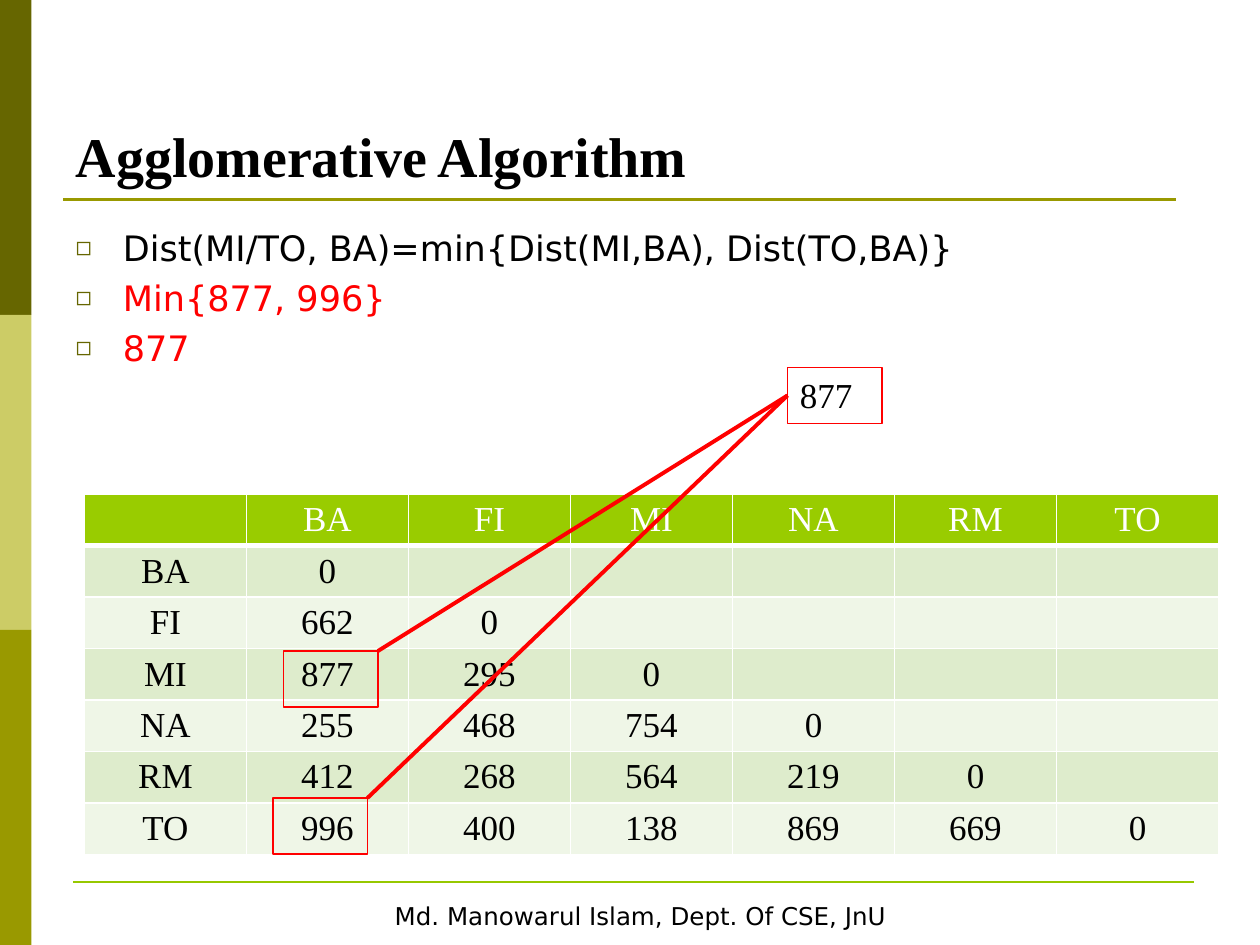
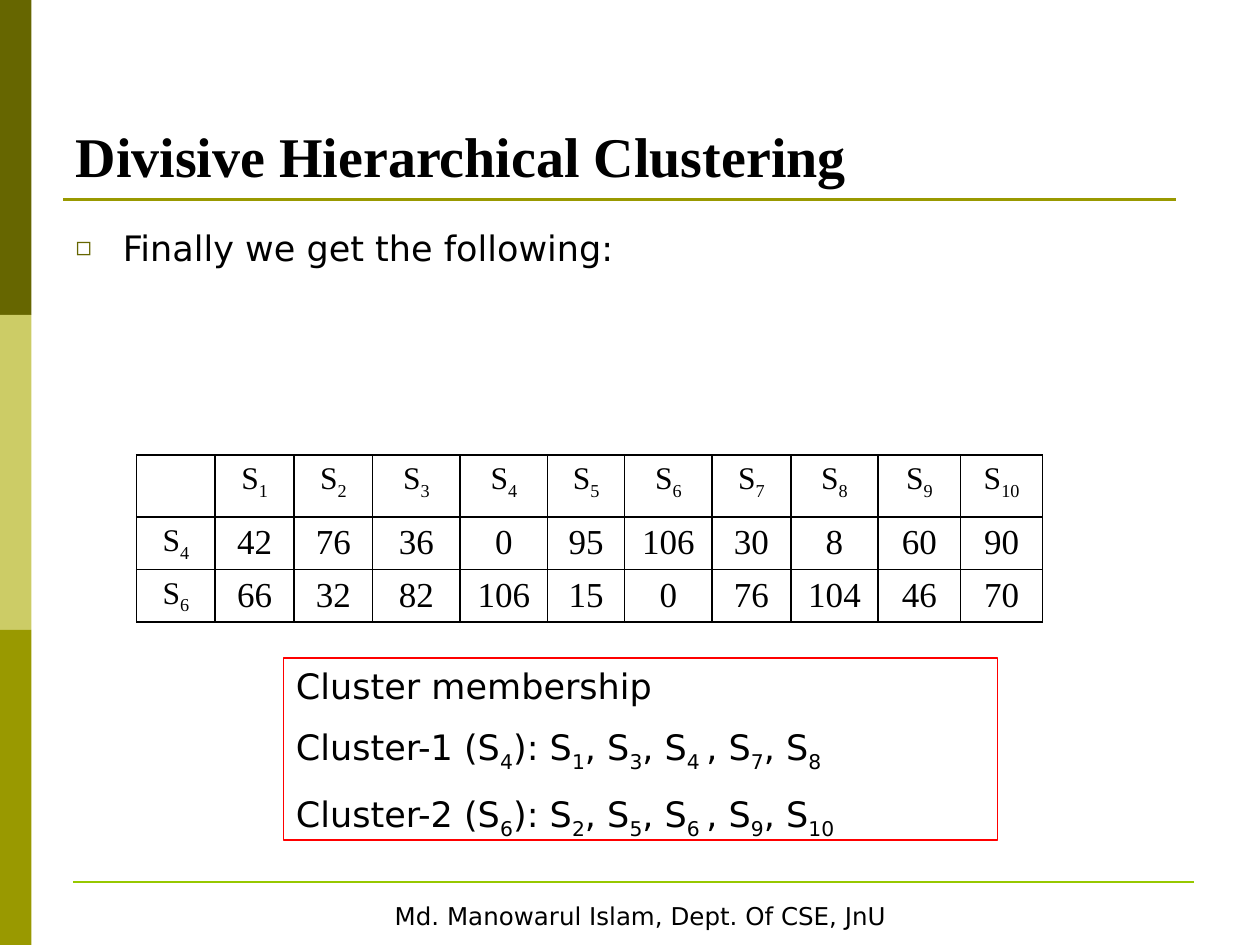
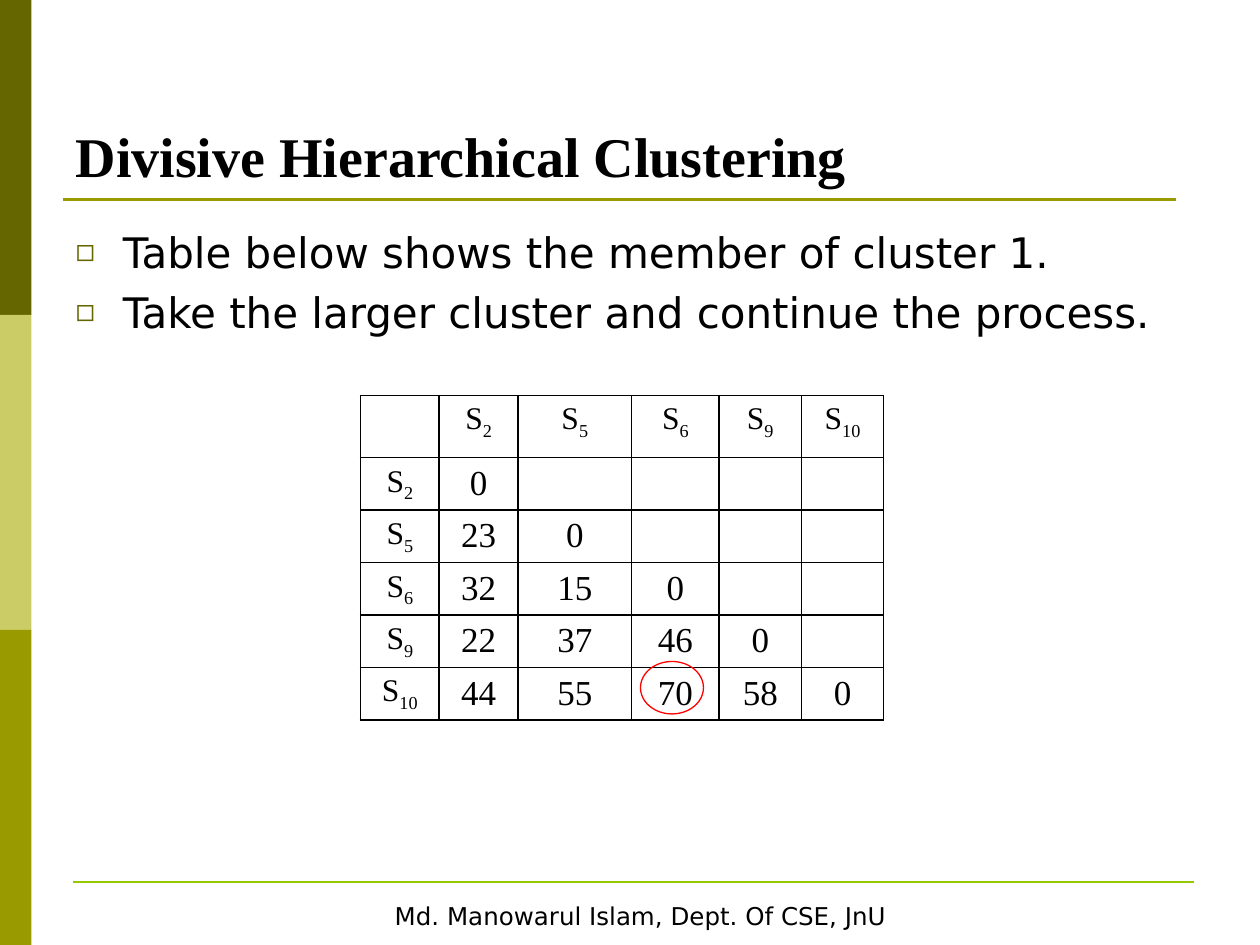
from dataclasses import dataclass
from itertools import product

from lxml.etree import SubElement
from pptx import Presentation
from pptx.dml.color import RGBColor
from pptx.enum.shapes import MSO_CONNECTOR as Connector, MSO_SHAPE as Preset
from pptx.enum.text import MSO_ANCHOR as Anchor, MSO_AUTO_SIZE as AutoSize, PP_ALIGN as Align
from pptx.oxml.ns import qn
from pptx.util import Pt


@dataclass(frozen=True)
class Theme:
    serif: str = "Times New Roman"
    sans: str = "DejaVu Sans"
    black: str = "000000"
    white: str = "FFFFFF"
    red: str = "FF0000"
    dark_olive: str = "666600"
    pale_olive: str = "CCCC66"
    olive: str = "999900"
    footer_rule: str = "96C800"
    header: str = "99CC00"
    bands: tuple = ("DEECCC", "EFF6E7")
    title_size: int = 32
    large_size: int = 24
    text_size: int = 20
    label_size: int = 18
    footer_size: int = 14


T = Theme()
WIDTH, HEIGHT = 720, 540
FOOTER = "Md. Manowarul Islam, Dept. Of CSE, JnU"
TITLE_AREA = (36, 21.6, 648, 90)
BODY_LEFT, BODY_TOP, BODY_WIDTH = 36, 126, 648

CITIES = ["BA", "FI", "MI", "NA", "RM", "TO"]
CITY_DISTANCES = [
    [0],
    [662, 0],
    [877, 295, 0],
    [255, 468, 754, 0],
    [412, 268, 564, 219, 0],
    [996, 400, 138, 869, 669, 0],
]
SAMPLES = [f"S_{n}" for n in range(1, 11)]
SEED_DISTANCES = {
    "S_4": [42, 76, 36, 0, 95, 106, 30, 8, 60, 90],
    "S_6": [66, 32, 82, 106, 15, 0, 76, 104, 46, 70],
}
MEMBERS = ["S_2", "S_5", "S_6", "S_9", "S_10"]
MEMBER_DISTANCES = [
    [0],
    [23, 0],
    [32, 15, 0],
    [22, 37, 46, 0],
    [44, 55, 70, 58, 0],
]
MEMBERSHIP = [
    "Cluster membership",
    "Cluster-1 (S_4_): S_1_, S_3_, S_4 _, S_7_, S_8",
    "Cluster-2 (S_6_): S_2_, S_5_, S_6 _, S_9_, S_10",
]
SLIDES = [
    {
        "title": "Agglomerative Algorithm",
        "bullets": [
            ("Dist(MI/TO, BA)=min{Dist(MI,BA), Dist(TO,BA)}", T.black),
            ("Min{877, 996}", T.red),
            ("877", T.red),
        ],
        "size": T.text_size,
        "body_height": 356.4,
        "columns": CITIES,
        "rows": zip(CITIES, CITY_DISTANCES),
        "at": (48.24, 282.24),
        "widths": [92.6] * 7,
        "heights": [29.2] * 7,
        "banded": True,
    },
    {
        "title": "Divisive Hierarchical Clustering",
        "bullets": [("Finally we get the following:", T.black)],
        "size": T.text_size,
        "body_height": 48,
        "columns": SAMPLES,
        "rows": SEED_DISTANCES.items(),
        "at": (78, 260),
        "widths": [45, 45, 45, 50, 50, 44, 50, 45, 50, 47, 47],
        "heights": [35.5] + [29.5] * 2,
        "banded": False,
    },
    {
        "title": "Divisive Hierarchical Clustering",
        "bullets": [
            ("Table below shows the member of cluster 1.", T.black),
            ("Take the larger cluster and continue the process.", T.black),
        ],
        "size": T.large_size,
        "body_height": 108,
        "columns": MEMBERS,
        "rows": zip(MEMBERS, MEMBER_DISTANCES),
        "at": (206, 226),
        "widths": [45, 45, 65, 50, 47, 47],
        "heights": [35.5] + [29.5] * 5,
        "banded": False,
    },
]
RESULT_BOX = (450, 210, 54, 32)
SOURCE_BOXES = [(162, 372, 54, 32), (156, 456, 54, 32)]
MEMBERSHIP_BOX = (162, 376, 408, 104)
FARTHEST_PAIR = (366, 378, 36, 30)


def rgb(colour):
    return RGBColor.from_string(colour)


def write(paragraph, text, size, font, colour, bold=False):
    for index, piece in enumerate(text.split("_")):
        run = paragraph.add_run()
        run.text = piece
        run.font.size, run.font.name, run.font.bold = Pt(size), font, bold
        run.font.color.rgb = rgb(colour)
        if index % 2:
            run._r.get_or_add_rPr().set("baseline", "-25000")


def paragraphs(frame, count):
    return [frame.paragraphs[0]] + [frame.add_paragraph() for _ in range(count - 1)]


def place(shape, left, top, width, height):
    shape.left, shape.top, shape.width, shape.height = map(Pt, (left, top, width, height))


def preset(slide, kind, area, fill=None, line=None, weight=0.75):
    shape = slide.shapes.add_shape(kind, *map(Pt, area))
    shape.shadow.inherit = False
    if fill:
        shape.fill.solid()
        shape.fill.fore_color.rgb = rgb(fill)
    else:
        shape.fill.background()
    if line:
        shape.line.color.rgb = rgb(line)
        shape.line.width = Pt(weight)
    else:
        shape.line.fill.background()
    return shape


def straight(slide, start, end, colour, weight):
    line = slide.shapes.add_connector(Connector.STRAIGHT, *map(Pt, (*start, *end)))
    line.line.color.rgb = rgb(colour)
    line.line.width = Pt(weight)
    SubElement(line._element.spPr, qn("a:effectLst"))
    return line


def boxed_text(slide, area, lines, font):
    box = preset(slide, Preset.RECTANGLE, area, line=T.red)
    frame = box.text_frame
    frame.word_wrap, frame.vertical_anchor = True, Anchor.TOP
    for paragraph, text in zip(paragraphs(frame, len(lines)), lines):
        paragraph.alignment = Align.LEFT
        paragraph.space_before = Pt(T.text_size * 0.55)
        write(paragraph, text, T.text_size, font, T.black)
    frame.paragraphs[0].space_before = Pt(0)
    return box


def decorate(layout, slide):
    third = HEIGHT / 3
    parts = [
        preset(slide, Preset.RECTANGLE, (0, i * third, 18, third), colour)
        for i, colour in enumerate((T.dark_olive, T.pale_olive, T.olive))
    ]
    parts.append(straight(slide, (36, 114), (672, 114), T.olive, 1.5))
    parts.append(straight(slide, (42, 504), (682.5, 504), T.footer_rule, 1.5))
    footer = preset(slide, Preset.RECTANGLE, (36, 511, 660, 25), T.white, T.white, 2)
    footer.text_frame.word_wrap = False
    credit = footer.text_frame.paragraphs[0]
    credit.alignment = Align.CENTER
    write(credit, FOOTER, T.footer_size, T.sans, T.black)
    parts.append(footer)
    for number, part in enumerate(parts, 20):
        part.element.xpath(".//p:cNvPr")[0].set("id", str(number))
        layout.shapes.element.append(part.element)


def fill_title(slide, text):
    title = slide.shapes.title
    place(title, *TITLE_AREA)
    frame = title.text_frame
    frame.vertical_anchor, frame.auto_size = Anchor.BOTTOM, AutoSize.NONE
    frame.paragraphs[0].alignment = Align.LEFT
    write(frame.paragraphs[0], text, T.title_size, T.serif, T.black, bold=True)


def add_bullet(paragraph):
    properties = paragraph._p.get_or_add_pPr()
    properties.set("marL", str(Pt(27)))
    properties.set("indent", str(-Pt(27)))
    colour = SubElement(properties, qn("a:buClr"))
    SubElement(colour, qn("a:srgbClr"), val=T.dark_olive)
    SubElement(properties, qn("a:buSzPct"), val="75000")
    SubElement(properties, qn("a:buChar"), char="◻")


def fill_body(slide, bullets, size, height):
    body = slide.placeholders[1]
    place(body, BODY_LEFT, BODY_TOP, BODY_WIDTH, height)
    frame = body.text_frame
    frame.auto_size = AutoSize.NONE
    for paragraph, (text, colour) in zip(paragraphs(frame, len(bullets)), bullets):
        paragraph.space_before = Pt(round(size * 0.23, 1))
        add_bullet(paragraph)
        write(paragraph, text, size, T.sans, colour)


def border(cell, colour, bottom):
    properties = cell._tc.get_or_add_tcPr()
    for index, side in enumerate(("lnL", "lnR", "lnT", "lnB")):
        weight = bottom if side == "lnB" else 1
        line = properties.makeelement(qn(f"a:{side}"), {"w": str(Pt(weight))})
        properties.insert(index, line)
        SubElement(SubElement(line, qn("a:solidFill")), qn("a:srgbClr"), val=colour)


def distance_table(slide, columns, rows, at, widths, heights, banded):
    grid = [["", *columns]] + [[label, *map(str, values)] for label, values in rows]
    area = (*at, sum(widths), sum(heights))
    table = slide.shapes.add_table(len(heights), len(widths), *map(Pt, area)).table
    table.first_row = table.horz_banding = False
    for column, width in zip(table.columns, widths):
        column.width = Pt(width)
    for row, height in zip(table.rows, heights):
        row.height = Pt(height)
    for r, c in product(range(len(heights)), range(len(widths))):
        cell = table.cell(r, c)
        is_header = banded and r == 0
        if banded:
            cell.fill.solid()
            cell.fill.fore_color.rgb = rgb(T.header if is_header else T.bands[(r - 1) % 2])
        else:
            cell.fill.background()
        border(cell, T.white if banded else T.black, 3 if is_header else 1)
        if c < len(grid[r]) and grid[r][c]:
            text = grid[r][c]
            paragraph = cell.text_frame.paragraphs[0]
            paragraph.alignment = Align.CENTER
            size = T.label_size if "_" in text else T.text_size
            write(paragraph, text, size, T.serif, T.white if is_header else T.black)


def mark_minimum(slide):
    result = boxed_text(slide, RESULT_BOX, ["877"], T.serif)
    left, top, _, height = RESULT_BOX
    for area in SOURCE_BOXES:
        preset(slide, Preset.RECTANGLE, area, line=T.red)
        corner = (area[0] + area[2], area[1])
        link = straight(slide, corner, (left, top + height / 2), T.red, 2.25)
        link.end_connect(result, 1)


def main():
    deck = Presentation()
    deck.slide_width, deck.slide_height = Pt(WIDTH), Pt(HEIGHT)
    layout = deck.slide_layouts[1]
    slides = [deck.slides.add_slide(layout) for _ in SLIDES]
    decorate(layout, slides[0])
    for slide, content in zip(slides, SLIDES):
        fill_title(slide, content["title"])
        fill_body(slide, content["bullets"], content["size"], content["body_height"])
        keys = ("columns", "rows", "at", "widths", "heights", "banded")
        distance_table(slide, *(content[key] for key in keys))
    agglomerative, membership, continuation = slides
    mark_minimum(agglomerative)
    boxed_text(membership, MEMBERSHIP_BOX, MEMBERSHIP, T.sans)
    preset(continuation, Preset.OVAL, FARTHEST_PAIR, line=T.red)
    deck.save("out.pptx")


if __name__ == "__main__":
    main()
